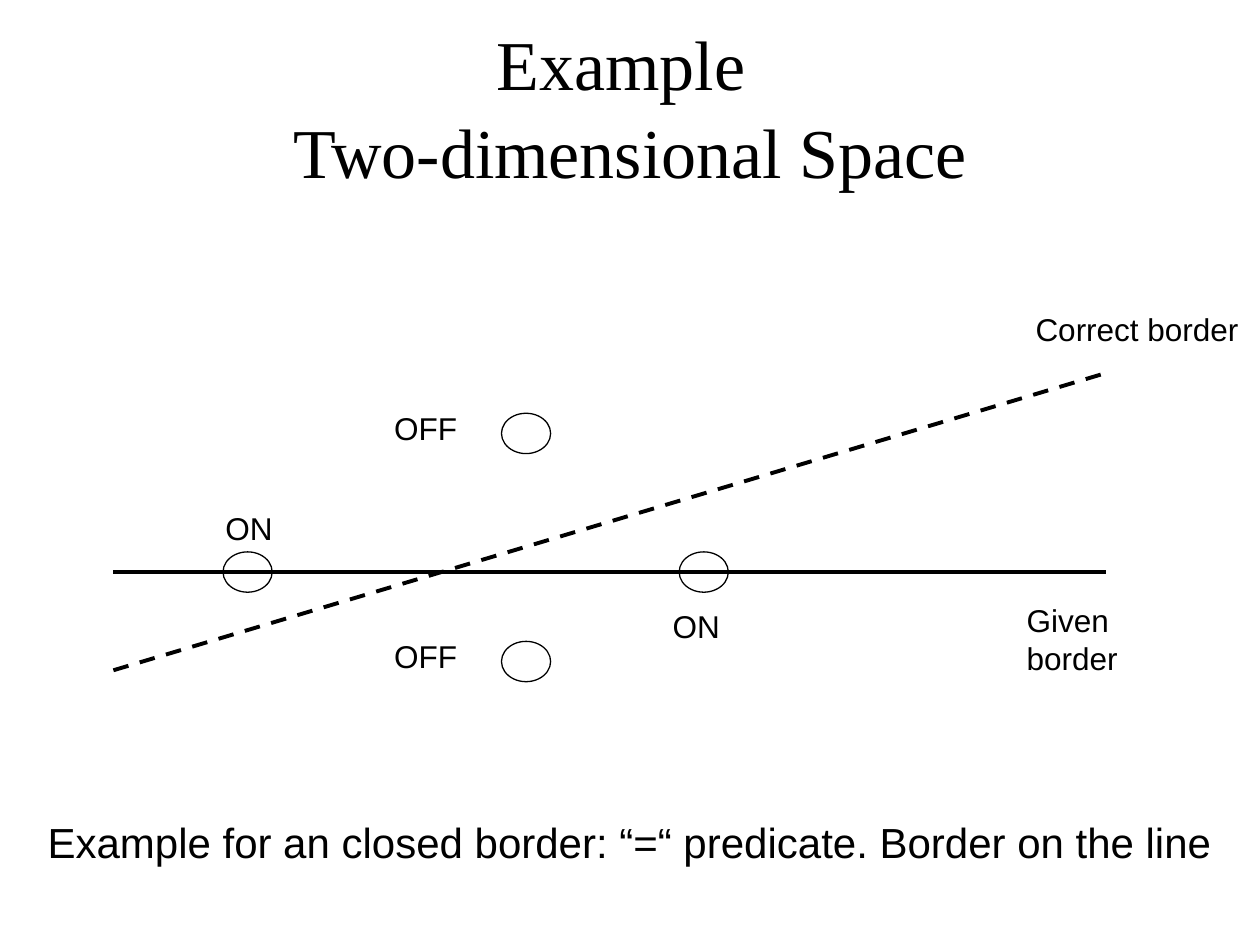
from copy import deepcopy
from typing import NamedTuple

from pptx import Presentation
from pptx import util as u
from pptx.dml.color import RGBColor
from pptx.enum import dml, shapes, text
from pptx.oxml.ns import qn
from pptx.oxml.xmlchemy import OxmlElement

PX = 9144  # EMU per px, 100 px to the inch
BLACK = "000000"
POINT_WIDTH, POINT_HEIGHT = 39, 32


class Border(NamedTuple):
    start: tuple[int, int]
    end: tuple[int, int]
    dash: dml.MSO_LINE | None = None


class Label(NamedTuple):
    words: str
    left: int
    top: int
    width: int
    height: int = 40
    size: int = 18
    wrap: bool = False


BORDERS = [
    Border((90, 454), (878, 454)),
    Border((90, 532), (878, 296), dml.MSO_LINE.DASH),
]
POINTS = [(398, 328), (539, 438), (177, 438), (398, 509)]
LABELS = [
    Label("Given border", 805, 472, 164),
    Label("Correct border", 812, 241, 188),
    Label("OFF", 303, 320, 80, wrap=True),
    Label("OFF", 303, 501, 80, wrap=True),
    Label("ON", 169, 399, 64),
    Label("ON", 524, 477, 64),
    Label("Example for an closed border: “=“ predicate. Border on the line",
          28, 643, 953, height=50, size=24),
]


def px(*lengths: int) -> list[u.Emu]:
    return [u.Emu(length * PX) for length in lengths]


def color(value: str) -> RGBColor:
    return RGBColor.from_string(value)


def apply(target, **values) -> None:
    """Set each named value as an attribute of the target."""
    for name, value in values.items():
        setattr(target, name, value)


def format_runs(paragraph, font_name: str, size: int) -> None:
    for run in paragraph.runs:
        apply(run.font, name=font_name, size=u.Pt(size))
        run.font.color.rgb = color(BLACK)


def format_title(title) -> None:
    left, top, width, height = px(50, 30, 900, 101)
    apply(title, left=left, top=top, width=width, height=height)
    frame = title.text_frame
    frame.text = "Example \vTwo-dimensional Space"
    apply(frame, auto_size=text.MSO_AUTO_SIZE.NONE, margin_bottom=0,
          vertical_anchor=text.MSO_ANCHOR.MIDDLE)
    paragraph = frame.paragraphs[0]
    apply(paragraph, alignment=text.PP_ALIGN.CENTER, line_spacing=1.05)
    format_runs(paragraph, "Times New Roman", 40)
    # The line break takes the same font as the words, so both lines are equally tall.
    for line_break in paragraph._p.findall(qn("a:br")):
        line_break.append(deepcopy(paragraph.runs[0]._r.rPr))


def add_border(slide, border: Border) -> None:
    connector = slide.shapes.add_connector(
        shapes.MSO_CONNECTOR.STRAIGHT, *px(*border.start, *border.end))
    connector._element.spPr.append(OxmlElement("a:effectLst"))
    apply(connector.line, width=u.Pt(2.25), dash_style=border.dash)
    connector.line.color.rgb = color(BLACK)


def add_point(slide, left: int, top: int) -> None:
    point = slide.shapes.add_shape(
        shapes.MSO_SHAPE.OVAL, *px(left, top, POINT_WIDTH, POINT_HEIGHT))
    point.shadow.inherit = False
    point.fill.background()
    point.line.width = u.Pt(0.75)
    point.line.color.rgb = color(BLACK)


def add_label(slide, label: Label) -> None:
    box = slide.shapes.add_textbox(
        *px(label.left, label.top, label.width, label.height))
    frame = box.text_frame
    frame.text = label.words
    apply(frame, word_wrap=label.wrap,
          auto_size=text.MSO_AUTO_SIZE.SHAPE_TO_FIT_TEXT)
    format_runs(frame.paragraphs[0], "Arial", label.size)


def main() -> None:
    presentation = Presentation()
    width, height = px(1000, 750)
    apply(presentation, slide_width=width, slide_height=height)
    slide = presentation.slides.add_slide(presentation.slide_layouts[5])
    format_title(slide.shapes.title)
    for border in BORDERS:
        add_border(slide, border)
    for left, top in POINTS:
        add_point(slide, left, top)
    for label in LABELS:
        add_label(slide, label)
    presentation.save("out.pptx")


if __name__ == "__main__":
    main()
